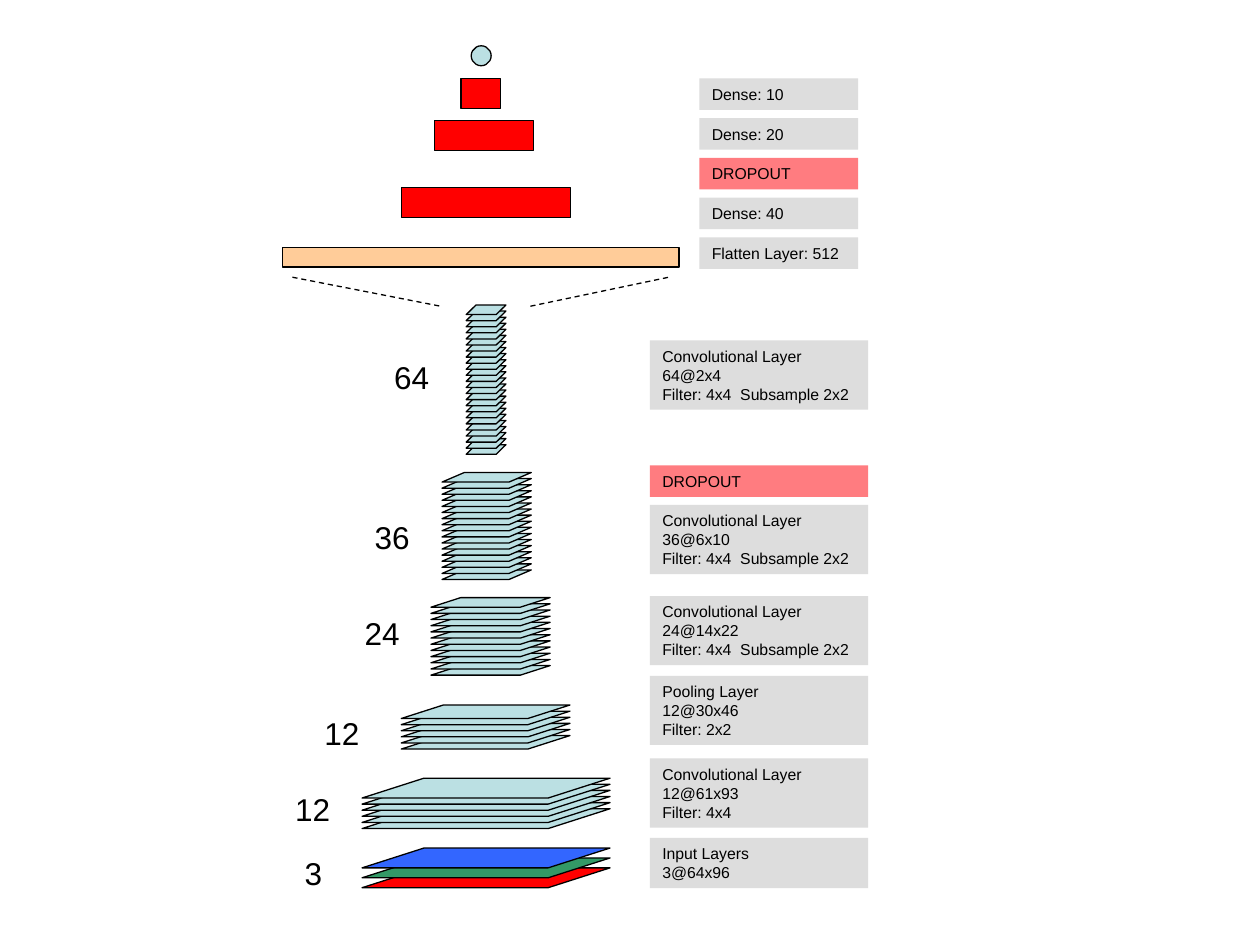
from dataclasses import dataclass

from lxml.etree import SubElement
from pptx import Presentation
from pptx.dml.color import RGBColor
from pptx.enum.dml import MSO_LINE
from pptx.enum.shapes import MSO_CONNECTOR, MSO_SHAPE
from pptx.enum.text import MSO_ANCHOR, MSO_AUTO_SIZE, PP_ALIGN
from pptx.oxml.ns import qn
from pptx.util import Pt


@dataclass(frozen=True)
class Theme:
    font: str = "Arial"
    label_size: float = 9
    count_size: float = 18
    line_width: float = 0.75
    ink: str = "000000"
    label: str = "DDDDDD"
    dropout: str = "FF7C80"
    feature_map: str = "BBE0E3"
    dense: str = "FF0000"
    flatten: str = "FFCC99"
    red: str = "FF0000"
    green: str = "339966"
    blue: str = "3366FF"


THEME = Theme()

# Channel count, count box (left, top, width), then the stack of maps:
# left, top, width, height, slant, pitch and colours from bottom to top
MAP = THEME.feature_map
STACKS = [
    ("3", (167, 484.6, 23), (206.9, 484.6, 141.7, 11.34, 3.12, 5.67),
     [THEME.red, THEME.green, THEME.blue]),
    ("12", (133.2, 447.9, 62.6), (206.9, 444.7, 141.7, 11.34, 3.12, 3.49), [MAP] * 6),
    ("12", (155.7, 404.7, 56.7), (229.3, 402.9, 96.4, 7.7, 3.12, 3.49), [MAP] * 6),
    ("24", (190.1, 347.6, 45.4), (246.3, 341.5, 68.1, 5.47, 3.11, 3.53), [MAP] * 12),
    ("36", (195.8, 292.3, 45.4), (252.6, 270, 51, 5.47, 2.33, 3.48), [MAP] * 17),
    ("64", (206.9, 200.9, 45.4), (266.4, 174.3, 22.7, 5.47, 1.02, 3.47), [MAP] * 24),
]

# Top, height and lines of the labels beside the stacks
STACK_LABELS = [
    (478.8, 28.8, ["Input Layers", "3@64x96"]),
    (433.4, 39.6, ["Convolutional Layer", "12@61x93", "Filter: 4x4"]),
    (386.2, 39.6, ["Pooling Layer", "12@30x46", "Filter: 2x2"]),
    (340.6, 39.6, ["Convolutional Layer", "24@14x22", "Filter: 4x4  Subsample 2x2"]),
    (288.6, 39.6, ["Convolutional Layer", "36@6x10", "Filter: 4x4  Subsample 2x2"]),
    (265.9, 18, ["DROPOUT"]),
    (194.6, 39.6, ["Convolutional Layer", "64@2x4", "Filter: 4x4  Subsample 2x2"]),
]

HEAD_LABELS = ["Dense: 10", "Dense: 20", "DROPOUT", "Dense: 40", "Flatten Layer: 512"]

# Left, top, width, height, colour
BARS = [
    (161.3, 141.3, 226.8, 11.3, THEME.flatten),
    (229.4, 107.2, 96.7, 17.1, THEME.dense),
    (248.3, 69, 56.7, 17.1, THEME.dense),
    (263.5, 45, 22.5, 17.1, THEME.dense),
]

# Start x, start y, end x, end y
FUNNEL = [(167.1, 158.4, 251.8, 175), (303.1, 175, 382.2, 158.4)]


def colour(code):
    return RGBColor.from_string(code)


def add_figure(shapes, kind, left, top, width, height, fill, outlined=True):
    figure = shapes.add_shape(kind, Pt(left), Pt(top), Pt(width), Pt(height))
    figure.shadow.inherit = False
    figure.fill.solid()
    figure.fill.fore_color.rgb = colour(fill)
    if outlined:
        figure.line.color.rgb = colour(THEME.ink)
        figure.line.width = Pt(THEME.line_width)
    else:
        figure.line.fill.background()
    return figure


def write(box, text, size, alignment):
    frame = box.text_frame
    frame.text = text
    frame.word_wrap = True
    frame.auto_size = MSO_AUTO_SIZE.SHAPE_TO_FIT_TEXT
    frame.vertical_anchor = MSO_ANCHOR.TOP
    for para in frame.paragraphs:
        para.alignment = alignment
        para.space_before = Pt(size * 0.62)
        for span in para.runs:
            span.font.name = THEME.font
            span.font.size = Pt(size)
            span.font.color.rgb = colour(THEME.ink)


def add_label(page, left, top, width, height, lines):
    fill = THEME.dropout if lines == ["DROPOUT"] else THEME.label
    box = add_figure(page.shapes, MSO_SHAPE.RECTANGLE, left, top, width, height,
                     fill, outlined=False)
    write(box, "\v".join(lines), THEME.label_size, PP_ALIGN.LEFT)


def add_count(page, left, top, width, text):
    box = page.shapes.add_textbox(Pt(left), Pt(top), Pt(width), Pt(28.8))
    write(box, text, THEME.count_size, PP_ALIGN.RIGHT)


def add_stack(page, left, top, width, height, slant, pitch, fills):
    group = page.shapes.add_group_shape()
    for level, fill in enumerate(fills):
        sheet_top = top + (len(fills) - 1 - level) * pitch
        sheet = add_figure(group.shapes, MSO_SHAPE.PARALLELOGRAM,
                           left, sheet_top, width, height, fill)
        sheet.adjustments[0] = slant


def add_dashed_line(page, *ends):
    line = page.shapes.add_connector(MSO_CONNECTOR.STRAIGHT, *map(Pt, ends))
    line.line.color.rgb = colour(THEME.ink)
    line.line.width = Pt(THEME.line_width)
    line.line.dash_style = MSO_LINE.DASH
    SubElement(line._element.spPr, qn("a:effectLst"))


def main():
    deck = Presentation()
    deck.slide_width, deck.slide_height = Pt(720), Pt(540)
    page = deck.slides.add_slide(deck.slide_layouts[6])

    # Input and convolutional stacks with their channel counts
    for text, count_place, stack_place, fills in STACKS:
        add_stack(page, *stack_place, fills)
        add_count(page, *count_place, text)
    for top, height, lines in STACK_LABELS:
        add_label(page, 371.4, top, 124.7, height, lines)

    # Flatten and dense layers up to the output
    for *place, fill in BARS:
        add_figure(page.shapes, MSO_SHAPE.RECTANGLE, *place, fill)
    for ends in FUNNEL:
        add_dashed_line(page, *ends)
    add_figure(page.shapes, MSO_SHAPE.OVAL, 269.3, 26.2, 11.4, 11.4, THEME.feature_map)
    for row, text in enumerate(HEAD_LABELS):
        add_label(page, 399.7, 44.8 + row * 22.7, 90.7, 18, [text])

    deck.save("out.pptx")


if __name__ == "__main__":
    main()
